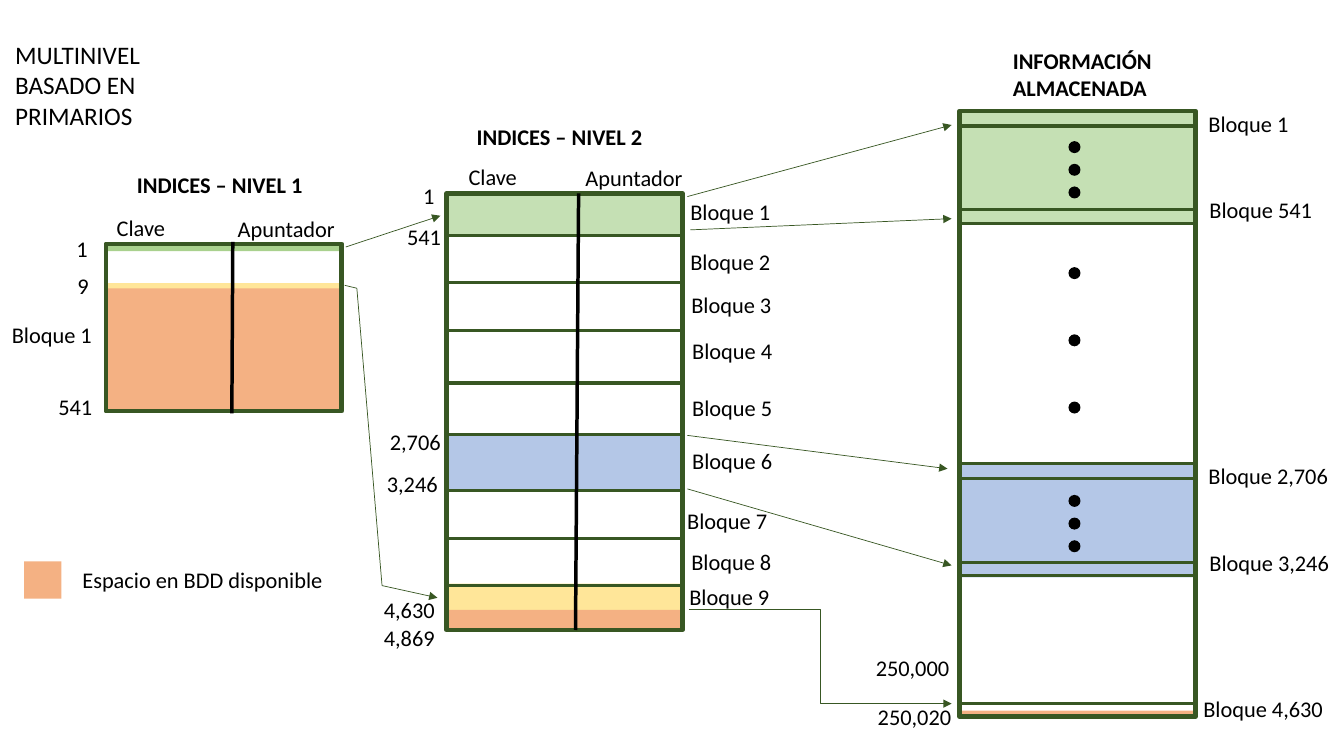
import pptx
import pptx.util
import pptx.dml.color
import pptx.enum.shapes
import pptx.enum.text
import pptx.oxml

Pt = pptx.util.Pt
SHAPES = pptx.enum.shapes.MSO_SHAPE
CONNECTORS = pptx.enum.shapes.MSO_CONNECTOR

BLACK, DARK_GREEN, LIGHT_GREEN, GREEN = "000000", "385723", "C5E0B4", "A9D18E"
BLUE, YELLOW, ORANGE = "B4C7E7", "FFE699", "F4B183"
COLUMN_WIDTH = 168.5


def color(hex_string):
    return pptx.dml.color.RGBColor.from_string(hex_string)


def write(shape, text, size=16, bold=False):
    frame = shape.text_frame
    frame.word_wrap = True
    frame.vertical_anchor = pptx.enum.text.MSO_ANCHOR.TOP
    frame.margin_left = frame.margin_right = Pt(7.2)
    frame.margin_top = frame.margin_bottom = Pt(3.6)
    paragraph = frame.paragraphs[0]
    paragraph.alignment = pptx.enum.text.PP_ALIGN.LEFT
    paragraph.line_spacing = 1.0
    paragraph.space_before = Pt(0)
    run = paragraph.add_run()
    run.text = text
    run.font.name = "Calibri"
    run.font.size = Pt(size)
    run.font.bold = bold
    run.font.color.rgb = color(hex_string=BLACK)


class Diagram:
    def __init__(self, presentation):
        self.slide = presentation.slides.add_slide(presentation.slide_layouts[5])
        self.shapes = self.slide.shapes

    def title(self, text, left, top, width, height):
        shape = self.shapes.title
        shape.left, shape.top = Pt(left), Pt(top)
        shape.width, shape.height = Pt(width), Pt(height)
        shape.text_frame.auto_size = pptx.enum.text.MSO_AUTO_SIZE.NONE
        write(shape, text, size=18)

    def label(self, text, left, top, width=80, height=26.6, **style):
        box = self.shapes.add_textbox(Pt(left), Pt(top), Pt(width), Pt(height))
        write(box, text, **style)

    def shape(self, left, top, width, height, fill=None, kind=SHAPES.RECTANGLE):
        shape = self.shapes.add_shape(kind, Pt(left), Pt(top), Pt(width), Pt(height))
        shape.shadow.inherit = False
        if fill:
            shape.fill.solid()
            shape.fill.fore_color.rgb = color(fill)
            shape.line.fill.background()
        else:
            shape.fill.background()
            shape.line.color.rgb = color(DARK_GREEN)
            shape.line.width = Pt(3.25)

    def line(self, start, end, width=0.5, stroke=DARK_GREEN, arrow=False,
             kind=CONNECTORS.STRAIGHT):
        connector = self.shapes.add_connector(kind, *map(Pt, start + end))
        connector.line.color.rgb = color(stroke)
        connector.line.width = Pt(width)
        namespace = pptx.oxml.ns.nsdecls("a")
        if arrow:
            connector.line._get_or_add_ln().append(
                pptx.oxml.parse_xml(f'<a:tailEnd {namespace} type="triangle"/>'))
        connector._element.spPr.append(
            pptx.oxml.parse_xml(f"<a:effectLst {namespace}/>"))

    def column(self, left, top, height, bands, rules=()):
        for band_top, band_height, fill in bands:
            self.shape(left, band_top, COLUMN_WIDTH, band_height, fill)
        self.shape(left, top, COLUMN_WIDTH, height)
        for y in rules:
            self.line((left, y), (left + COLUMN_WIDTH, y), 2.25)

    def dots(self, top, gap):
        for index in range(3):
            self.shape(763.2, top + index * gap, 8.6, 8.6, BLACK, SHAPES.OVAL)


presentation = pptx.Presentation()
presentation.slide_width, presentation.slide_height = Pt(960), Pt(540)
diagram = Diagram(presentation)
diagram.title("MULTINIVEL BASADO EN PRIMARIOS", 3.6, 24.5, 108.7, 72.7)

# Columns: level 1, level 2 and stored information
diagram.column(75.6, 174.2, 119.5, [
    (174.9, 4.5, GREEN), (202.2, 4.5, YELLOW), (205.9, 87.8, ORANGE)])
diagram.column(319, 138.2, 311.8, [
    (139.7, 28.1, LIGHT_GREEN), (309.6, 40.3, BLUE),
    (416.9, 22.3, YELLOW), (435.6, 13.7, ORANGE)],
    [168.5, 201.6, 236.2, 273.6, 310.3, 350.6, 384.5, 418.3])
diagram.column(685.4, 79.2, 432.7, [
    (79.2, 80.6, LIGHT_GREEN), (331.9, 80.6, BLUE), (507.6, 3.6, ORANGE)],
    [90, 149.8, 159.8, 331.2, 342, 401.8, 411.1, 502.6])

# Dividers between key and pointer
diagram.line((166.3, 172.8), (165.6, 295.2), 2.5, BLACK)
diagram.line((413.3, 138.2), (411.1, 450), 2.5, BLACK)

# Omitted blocks
for top, gap in [(100.8, 16.2), (190.8, 48), (353.5, 16.2)]:
    diagram.dots(top, gap)

# Headings
for text, left, top, width, height in [
        ("INDICES – NIVEL 1", 90.7, 118.8, 140.4, 26.6),
        ("INDICES – NIVEL 2", 333.4, 84.2, 140.4, 26.6),
        ("INFORMACIÓN ALMACENADA", 716.4, 30.2, 149, 46)]:
    diagram.label(text, left, top, width, height, bold=True)
for key_left, pointer_left, top in [(76.3, 162.7, 149.4), (327.6, 411.1, 113)]:
    diagram.label("Clave", key_left, top, 64)
    diagram.label("Apuntador", pointer_left, top + 0.8, 87)

# Keys and block names
for text, left, top in [
        ("1", 47.5, 164.2), ("9", 48.2, 190.8), ("Bloque 1", 1.4, 226.1),
        ("541", 34.6, 277.2),
        ("1", 295.2, 126.7), ("541", 283.7, 155.5), ("2,706", 271.4, 302.4),
        ("3,246", 269.3, 332.6), ("4,630", 267.1, 422.6), ("4,869", 267.1, 442.1),
        ("250,000", 618.5, 463.7), ("250,020", 619.9, 499)]:
    diagram.label(text, left, top)
level_2_blocks = [
    (486, 138.2), (486, 173.5), (486.7, 204.5), (487.4, 237.6), (487.4, 277.9),
    (487.4, 316.1), (483.8, 358.6), (486.7, 388.1), (485.3, 413.3)]
for number, (left, top) in enumerate(level_2_blocks, start=1):
    diagram.label(f"Bloque {number}", left, top)
for number, left, top in [
        ("1", 856.1, 74.9), ("541", 856.8, 136.8), ("2,706", 856.1, 326.9),
        ("3,246", 856.8, 388.8), ("4,630", 852.5, 493.2)]:
    diagram.label(f"Bloque {number}", left, top, 103)

# Pointers
for start, end in [
        ((247, 176.4), (314.6, 154.1)), ((272.9, 418.3), (312.5, 427)),
        ((491, 140.4), (679.7, 89.3)), ((493.2, 164.2), (679.7, 156.2)),
        ((491, 311), (676.8, 334.8)), ((491, 349.2), (679.7, 403.9))]:
    diagram.line(start, end, arrow=True)
diagram.line((246.2, 203.8), (254.9, 205.9))
diagram.line((254.9, 205.9), (272.9, 418.3))
diagram.line((491.8, 435.6), (679.7, 502.6), arrow=True, kind=CONNECTORS.ELBOW)

# Legend
diagram.shape(17.3, 401, 26.6, 26.6, ORANGE)
diagram.label("Espacio en BDD disponible", 51.8, 401, 190.8)

presentation.save("out.pptx")
